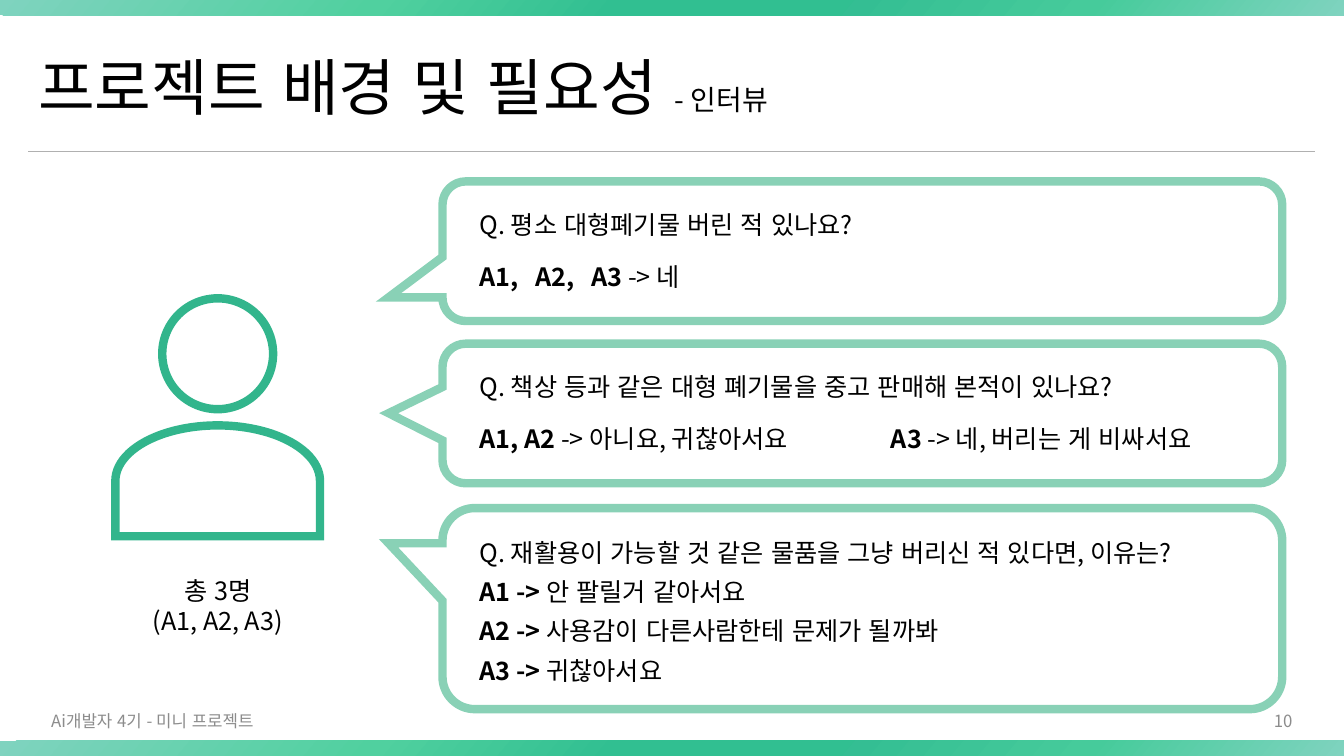
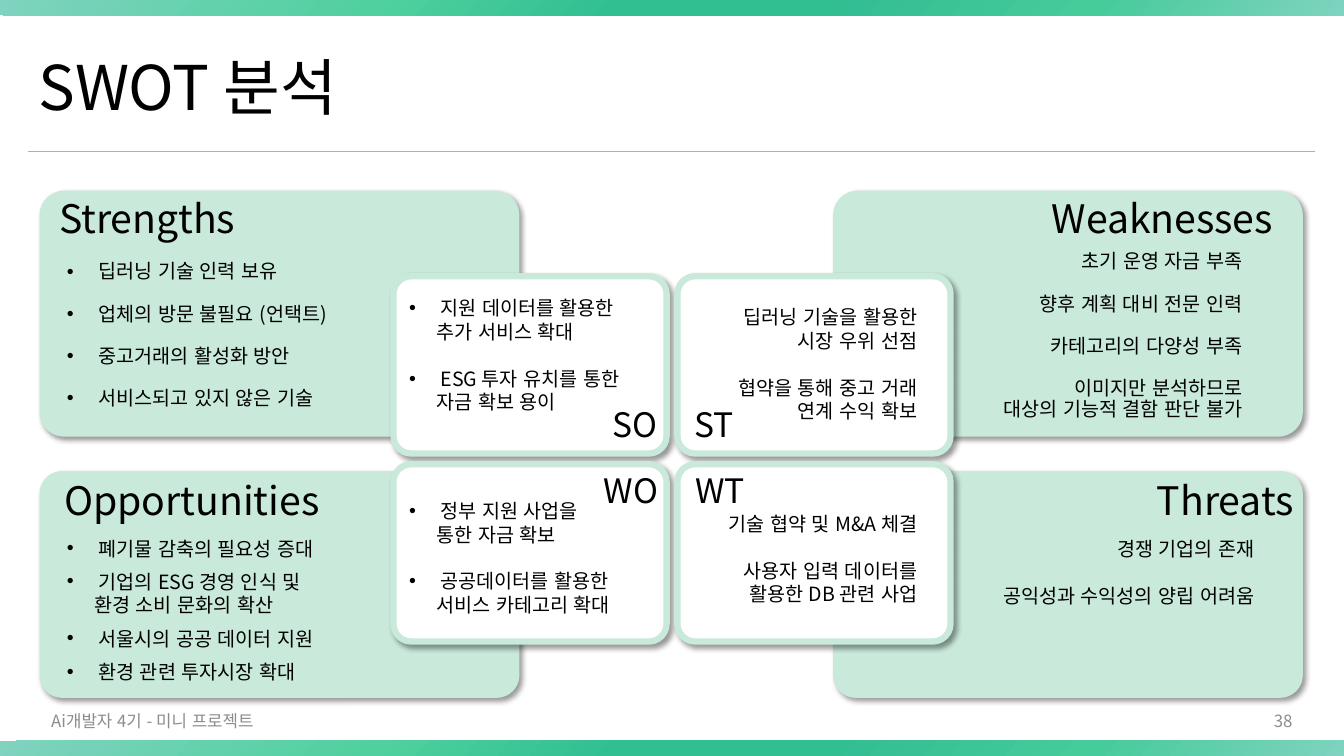
from lxml import etree
from pptx import Presentation
from pptx import util as u
from pptx.dml.color import RGBColor
from pptx.enum import lang, shapes, text
from pptx.oxml import ns

FONT = "Noto Sans CJK KR"
BLACK = RGBColor(0, 0, 0)
WHITE = RGBColor(0xFF, 0xFF, 0xFF)
GRAY = RGBColor(0x8C, 0x8C, 0x8C)
RULE = RGBColor(0xB0, 0xB0, 0xB0)
GREEN = RGBColor(0x32, 0xB5, 0x8C)
SOFT = RGBColor(0x89, 0xD1, 0xB6)
PALE = RGBColor(0xC9, 0xE9, 0xDB)
BAND = [
    (0, RGBColor(0x7F, 0xD3, 0xBF)),
    (28, RGBColor(0x50, 0xD0, 0x9F)),
    (46, RGBColor(0x31, 0xBF, 0x91)),
    (63, RGBColor(0x34, 0xBE, 0x93)),
    (81, RGBColor(0x46, 0xCB, 0x9B)),
    (100, RGBColor(0x7F, 0xD3, 0xBF)),
]
LEFT, CENTER, RIGHT = text.PP_ALIGN.LEFT, text.PP_ALIGN.CENTER, text.PP_ALIGN.RIGHT
SHAPE = shapes.MSO_SHAPE
COLUMNS, ROWS = 133.33, 75
CELL = u.Inches(0.1)
INDENT, HANGING = u.Pt(22.5), u.Pt(19.6)
CURVE = 0.55


def grid(*cells):
    return [u.Emu(round(cell * CELL)) for cell in cells]


def add_xml(parent, tag, **attributes):
    return etree.SubElement(parent, ns.qn(tag), {key: str(value) for key, value in attributes.items()})


class Deck:
    def __init__(self):
        self.deck = Presentation()
        self.deck.slide_width, self.deck.slide_height = grid(COLUMNS, ROWS)
        self.page = None

    def save(self):
        self.deck.save("out.pptx")

    def start(self, title, number, subtitle=None):
        self.page = self.deck.slides.add_slide(self.deck.slide_layouts[5])
        for row in (0, ROWS - 1.5):
            self.band(row)
        self.rule()
        box = self.page.shapes.title
        box.left, box.top, box.width, box.height = grid(2.8, 4.6, 127.7, 8.7)
        frame = box.text_frame
        frame.text = title
        frame.vertical_anchor = text.MSO_ANCHOR.MIDDLE
        frame.auto_size = text.MSO_AUTO_SIZE.NONE
        para = frame.paragraphs[0]
        para.alignment, para.line_spacing = LEFT, 0.9
        self.style(para.runs[0], 44)
        if subtitle:
            span = para.add_run()
            span.text = subtitle
            self.style(span, 20)
        self.footer((4.1, 69.5, 31.5, 4), "Ai개발자 4기 - 미니 프로젝트", LEFT)
        self.footer((99.2, 69.5, 30, 4), number, RIGHT)

    def band(self, row):
        shape = self.shape(SHAPE.RECTANGLE, (0, row, COLUMNS, 1.5))
        shape.fill.gradient()
        gradient = shape.fill._xPr.find(ns.qn("a:gradFill"))
        for child in list(gradient):
            gradient.remove(child)
        stops = add_xml(gradient, "a:gsLst")
        for position, color in BAND:
            stop = add_xml(stops, "a:gs", pos=position * 1000)
            add_xml(stop, "a:srgbClr", val=color)
        add_xml(gradient, "a:lin", ang=40 * 60000, scaled=0)

    def rule(self):
        line = self.page.shapes.add_connector(
            shapes.MSO_CONNECTOR.STRAIGHT, *grid(2.8, 15.06, 130.5, 15.06))
        line.line.color.rgb, line.line.width = RULE, u.Pt(0.75)
        add_xml(line._element.spPr, "a:effectLst")

    def footer(self, at, words, align):
        box = self.points(at, [[words]], align=align, size=12, color=GRAY)
        box.text_frame.vertical_anchor = text.MSO_ANCHOR.MIDDLE

    def style(self, span, size, color=BLACK, bold=False):
        font = span.font
        font.name, font.size, font.bold = FONT, u.Pt(size), bold
        font.color.rgb = color
        font.language_id = lang.MSO_LANGUAGE_ID.KOREAN
        add_xml(span._r.get_or_add_rPr(), "a:ea", typeface=FONT)

    def paint(self, shape, fill=None, line=None, width=6, shadow=False):
        shape.shadow.inherit = False
        if fill is None:
            shape.fill.background()
        else:
            shape.fill.solid()
            shape.fill.fore_color.rgb = fill
        if line is None:
            shape.line.fill.background()
        else:
            shape.line.color.rgb, shape.line.width = line, u.Pt(width)
            add_xml(shape.line._get_or_add_ln(), "a:miter", lim=800000)
        if shadow:
            effects = shape._element.spPr.find(ns.qn("a:effectLst"))
            outer = add_xml(effects, "a:outerShdw", blurRad=u.Pt(4), dist=u.Pt(3),
                            dir=45 * 60000, algn="tl", rotWithShape=0)
            add_xml(add_xml(outer, "a:srgbClr", val=BLACK), "a:alpha", val=40000)
        return shape

    def shape(self, kind, at, **paint):
        return self.paint(self.page.shapes.add_shape(kind, *grid(*at)), **paint)

    def card(self, at, **paint):
        self.shape(SHAPE.ROUNDED_RECTANGLE, at, shadow=True, **paint).adjustments[0] = 0.1

    def bubble(self, top, height, radius, wedge_top, wedge_bottom, tip):
        left, right, bottom = 43.9, 127.2, top + height
        pull = radius * (1 - CURVE)
        outline = [
            (right - radius, top), (right - pull, top), (right, top + pull), (right, top + radius),
            (right, bottom - radius), (right, bottom - pull), (right - pull, bottom), (right - radius, bottom),
            (left + radius, bottom), (left + pull, bottom), (left, bottom - pull), (left, bottom - radius),
            (left, wedge_bottom), (38.55, tip), (left, wedge_top),
            (left, top + radius), (left, top + pull), (left + pull, top), (left + radius, top),
        ]
        points = [grid(*point) for point in outline]
        builder = self.page.shapes.build_freeform(*points[0])
        builder.add_line_segments(points[1:], close=True)
        shape = builder.convert_to_shape()
        self.round_corners(shape, (0, 4, 8, 15))
        self.paint(shape, line=SOFT)

    def round_corners(self, shape, starts):
        outline = next(shape._element.iter(ns.qn("a:path")))
        nodes = list(outline)
        for start in starts:
            curve = etree.Element(ns.qn("a:cubicBezTo"))
            nodes[start].addnext(curve)
            for node in nodes[start + 1:start + 4]:
                curve.append(node[0])
                outline.remove(node)

    def frame(self, at):
        box = self.page.shapes.add_textbox(*grid(*at))
        box.text_frame.word_wrap = True
        return box

    def answer(self, at, lead, rest, tabs=()):
        para = self.frame(at).text_frame.paragraphs[0]
        if tabs:
            stops = add_xml(para._p.get_or_add_pPr(), "a:tabLst")
            for stop in grid(*tabs):
                add_xml(stops, "a:tab", pos=stop, algn="l")
        for words, bold in ((lead, True), (rest, False)):
            span = para.add_run()
            span.text = words
            self.style(span, 18, bold=bold)

    def points(self, at, groups, align=LEFT, size=14, color=BLACK, gap=0, spacing=1.0, bullets=False):
        box = self.frame(at)
        para = box.text_frame.paragraphs[0]
        for index, group in enumerate(groups):
            for row, words in enumerate(group):
                if index or row:
                    para = box.text_frame.add_paragraph()
                para.text = words
                if bullets:
                    props = para._p.get_or_add_pPr()
                    props.set("marL", str(HANGING if row else INDENT))
                    if not row:
                        props.set("indent", str(-INDENT))
                        add_xml(props, "a:buFont", typeface="Arial")
                        add_xml(props, "a:buChar", char="•")
                para.alignment = align
                para.line_spacing = 1.0 if bullets and row else spacing
                if index and not row:
                    para.space_before = u.Pt(gap)
                self.style(para.runs[0], size, color)
        return box


def interview(deck):
    deck.start("프로젝트 배경 및 필요성 ", "10", "- 인터뷰")
    deck.shape(SHAPE.OVAL, (16.1, 29.6, 11, 11), line=GREEN)
    deck.shape(SHAPE.FLOWCHART_DELAY, (16.1, 37.55, 11, 20.3), line=GREEN).rotation = 270
    deck.points((12.9, 56.6, 17.4, 7.1), [["총 3명", "(A1, A2, A3)"]], align=CENTER, size=18)

    deck.bubble(18, 13.85, 2.3, 25.5, 29.5, 29.5)
    deck.bubble(34.1, 13.85, 2.3, 38.4, 43.7, 41)
    deck.bubble(50.4, 19.95, 3.2, 53.9, 59.6, 53.9)

    left, width, height = 46.6, 78, 4
    questions = [
        (20.3, "Q. 평소 대형폐기물 버린 적 있나요?"),
        (36.3, "Q. 책상 등과 같은 대형 폐기물을 중고 판매해 본적이 있나요?"),
        (52.8, "Q. 재활용이 가능할 것 같은 물품을 그냥 버리신 적 있다면, 이유는?"),
    ]
    for top, question in questions:
        deck.points((left, top, width, height), [[question]], size=18)

    deck.answer((left, 25.4, 36.9, height), "A1,\tA2,\tA3 ", "-> 네", tabs=(5.5, 11.1))
    deck.answer((left, 41.5, 38, height), "A1, A2 ", "-> 아니요, 귀찮아서요")
    deck.answer((87.4, 41.5, 38, height), "A3", " -> 네, 버리는 게 비싸서요")
    reasons = ["안 팔릴거 같아서요", "사용감이 다른사람한테 문제가 될까봐", "귀찮아서요"]
    for index, reason in enumerate(reasons):
        deck.answer((left, 56.7 + 3.9 * index, width, height), f"A{index + 1} -> ", reason)


def swot(deck):
    deck.start("SWOT 분석", "38")
    for top, height in ((18.92, 24.4), (46.73, 22.5)):
        for left, width in ((3.93, 47.6), (82.65, 46.6)):
            deck.card((left, top, width, height), fill=PALE)
    headings = [
        ("Strengths", (3.9, 18.8, 21.4, 5.7), CENTER),
        ("Weaknesses", (101.4, 18.8, 27.8, 5.7), CENTER),
        ("Opportunities", (3.93, 46.75, 30.2, 5.7), CENTER),
        ("Threats", (96.35, 46.75, 33, 5.7), RIGHT),
    ]
    for heading, at, align in headings:
        deck.points(at, [[heading]], align=align, size=28)

    deck.points((5.65, 25.5, 43.2, 15.9), [
        ["딥러닝 기술 인력 보유"],
        ["업체의 방문 불필요 (언택트)"],
        ["중고거래의 활성화 방안"],
        ["서비스되고 있지 않은 기술"],
    ], gap=15, spacing=0.9, bullets=True)
    deck.points((80.75, 24.5, 43.5, 18), [
        ["초기 운영 자금 부족"],
        ["향후 계획 대비 전문 인력"],
        ["카테고리의 다양성 부족"],
        ["이미지만 분석하므로", "대상의 기능적 결함 판단 불가"],
    ], align=RIGHT, gap=15, spacing=0.9)
    deck.points((5.65, 53.4, 42.2, 15), [
        ["폐기물 감축의 필요성 증대"],
        ["기업의 ESG 경영 인식 및", "환경 소비 문화의 확산"],
        ["서울시의 공공 데이터 지원"],
        ["환경 관련 투자시장 확대"],
    ], gap=12, spacing=0.7, bullets=True)
    deck.points((83.25, 52.8, 42.2, 8.1), [
        ["경쟁 기업의 존재"],
        ["공익성과 수익성의 양립 어려움"],
    ], align=RIGHT, gap=16.6)

    for left in (39.03, 67.2):
        for top in (27.4, 46.05):
            deck.card((left, top, 27.1, 17.6), fill=WHITE, line=PALE, width=4.5)
    strategies = [
        ("SO", (59.3, 39.6, 7.4, 5), (39.6, 28.9, 26, 15.1),
         [["지원 데이터를 활용한", "추가 서비스 확대"], ["ESG 투자 유치를 통한", "자금 확보 용이"]]),
        ("ST", (67.2, 39.6, 7.3, 5), (68.3, 29.8, 23.7, 12.8),
         [["딥러닝 기술을 활용한", "시장 우위 선점"], ["협약을 통해 중고 거래", "연계 수익 확보"]]),
        ("WO", (58.15, 46.1, 8.9, 5), (39.6, 49, 26, 12.8),
         [["정부 지원 사업을", "통한 자금 확보"], ["공공데이터를 활용한", "서비스 카테고리 확대"]]),
        ("WT", (66.85, 46.1, 9.2, 5), (68.3, 50.3, 23.7, 10.4),
         [["기술 협약 및 M&A 체결"], ["사용자 입력 데이터를", "활용한 DB 관련 사업"]]),
    ]
    for name, name_at, list_at, groups in strategies:
        internal = name.endswith("O")
        deck.points(name_at, [[name]], align=CENTER, size=24)
        deck.points(list_at, groups, align=LEFT if internal else RIGHT, gap=16.6, bullets=internal)


def main():
    deck = Deck()
    interview(deck)
    swot(deck)
    deck.save()


if __name__ == "__main__":
    main()
